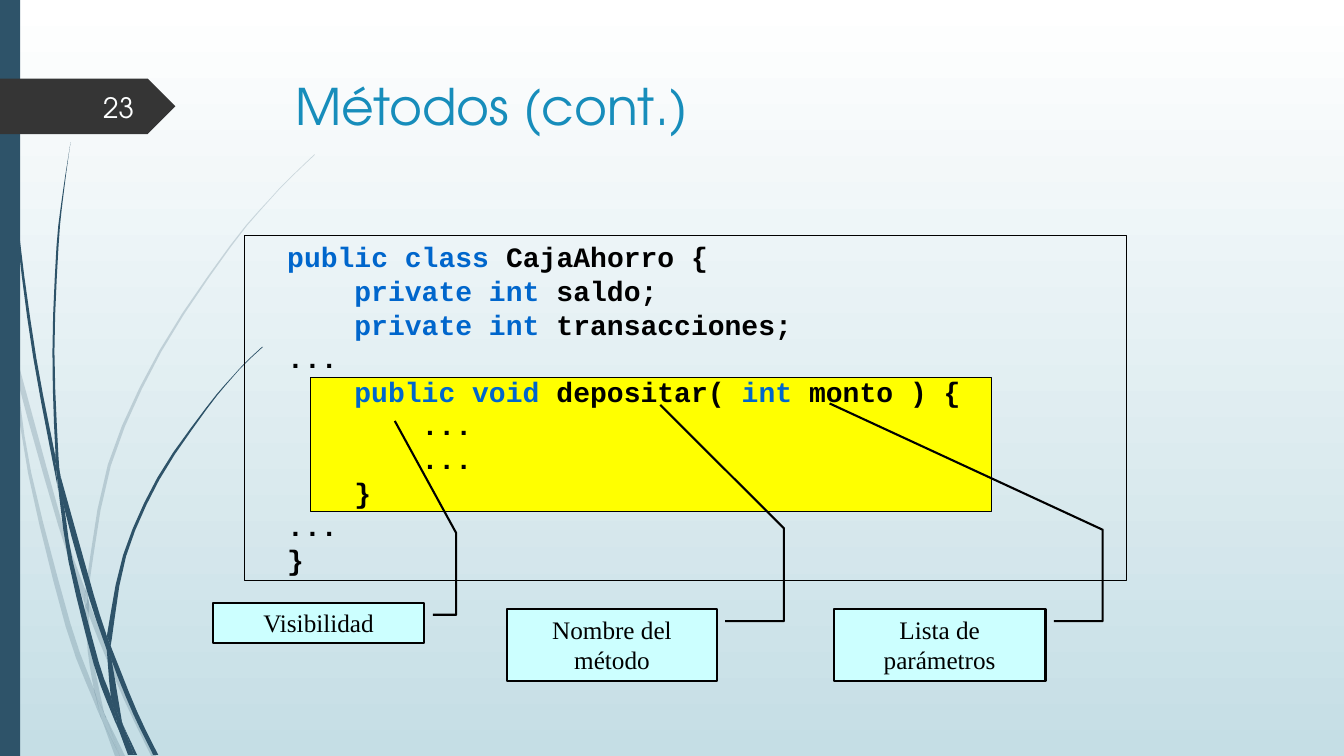
import pptx
import pptx.util
import pptx.dml.color
import pptx.enum.dml
import pptx.enum.shapes
import pptx.enum.text
from lxml import etree
from pptx.util import Inches

SHAPE = pptx.enum.shapes.MSO_SHAPE
ALIGN = pptx.enum.text.PP_ALIGN
ANCHOR = pptx.enum.text.MSO_ANCHOR


def paint(colour_format, hex_colour):
    colour_format.rgb = pptx.dml.color.RGBColor.from_string(hex_colour)


def add_run(p, text, colour, **font):
    r = p.add_run()
    r.text = text
    for name, value in font.items():
        setattr(r.font, name, value)
    paint(r.font.color, colour)


prs = pptx.Presentation()
prs.slide_width, prs.slide_height = Inches(13.33), Inches(7.5)
s = prs.slides.add_slide(prs.slide_layouts[5])

bg = s.background.fill
bg.gradient()
bg.gradient_angle = 270
for stop, colour in zip(bg.gradient_stops, ("FFFFFF", "C5DEE5")):
    paint(stop.color, colour)

pale_blades = [
    ([(0, 2.99), (0.1, 3.44), (0.11, 3.5)], [(0.11, 3.5), (0.09, 3.22), (0, 2.82)]),
    ([(0.14, 3.45), (0.17, 3.76), (0.58, 5.22), (0.84, 5.99)], [(0.85, 5.86), (0.62, 5.2), (0.14, 3.45)]),
    ([(0.88, 5.96), (0.88, 6.1), (1.23, 6.94), (1.5, 7.5)], [(1.55, 7.5), (1.27, 6.92), (0.92, 6.07), (0.88, 5.96)]),
    ([(1.05, 7.11), (1.19, 7.5)], [(1.24, 7.5), (1.05, 7.11)]),
    ([(0.11, 3.5), (0.28, 4.7), (0.65, 6.21), (0.92, 6.93), (1.01, 7.14)],
     [(1.01, 7.14), (0.99, 7.07), (0.93, 6.83), (0.7, 6.19), (0.31, 4.69), (0.17, 3.76), (0.11, 3.5)]),
    ([(0.84, 5.99), (0.87, 6.46), (0.93, 6.83), (0.96, 6.92), (1.05, 7.11)],
     [(1.05, 7.11), (1.03, 7.06), (0.91, 6.46), (0.88, 6.1), (0.84, 5.99)]),
    ([(3.12, 1.53), (2.89, 1.75), (2.68, 1.97), (2.28, 2.44), (1.58, 3.48), (1.07, 4.61), (0.85, 5.84), (0.85, 5.86)],
     [(0.88, 5.96), (0.88, 5.84), (1.1, 4.62), (1.6, 3.49), (2.29, 2.45), (2.68, 1.98), (2.9, 1.75), (3.12, 1.54)]),
    ([(1.01, 7.14), (1.14, 7.5)], [(1.19, 7.5), (1.01, 7.14)]),
    ([(0.85, 5.86), (0.84, 5.99), (0.88, 6.08)], [(0.88, 6.1), (0.88, 5.96), (0.85, 5.86)]),
    ([(0.93, 6.83), (0.99, 7.07), (1.01, 7.14), (1.19, 7.5)], [(1.19, 7.5), (1.05, 7.11), (0.96, 6.92), (0.93, 6.83)]),
]
dark_blades = [
    ([(0.03, 0), (0.04, 0.48), (0.07, 1.1), (0.17, 2.33), (0.33, 3.55), (0.56, 4.77), (0.57, 4.81)],
     [(0.55, 4.57), (0.55, 4.53), (0.36, 3.55), (0.19, 2.32), (0.08, 1.09), (0.05, 0.48), (0.04, 0)]),
    ([(0.6, 4.72), (0.64, 5.05), (0.88, 5.92), (1.06, 6.45)], [(1.06, 6.33), (1.06, 6.31), (0.93, 5.9), (0.6, 4.72)]),
    ([(1.1, 6.41), (1.11, 6.56), (1.32, 7.08), (1.52, 7.49)], [(1.57, 7.49), (1.36, 7.06), (1.13, 6.49), (1.1, 6.41)]),
    ([(0.57, 4.77), (0.68, 5.57), (0.93, 6.59), (1.11, 7.08), (1.17, 7.22)],
     [(1.16, 7.17), (1.1, 6.91), (0.98, 6.57), (0.72, 5.56), (0.64, 5.05), (0.57, 4.77)]),
    ([(0.7, 1.41), (0.62, 1.93), (0.56, 2.45), (0.52, 3.49), (0.55, 4.49), (0.6, 4.72)],
     [(0.6, 4.72), (0.58, 4.53), (0.54, 3.49), (0.58, 2.45), (0.63, 1.93), (0.7, 1.41)]),
    ([(1.22, 7.19), (1.33, 7.49)], [(1.36, 7.49), (1.22, 7.19)]),
    ([(0.55, 4.49), (0.55, 4.53), (0.57, 4.77), (0.64, 5.05)], [(0.64, 5.05), (0.6, 4.72), (0.55, 4.49)]),
    ([(2.6, 3.44), (2.45, 3.58), (2.31, 3.73), (2.04, 4.05), (1.56, 4.74), (1.22, 5.51), (1.06, 6.31)],
     [(1.1, 6.41), (1.11, 6.33), (1.25, 5.52), (1.58, 4.76), (2.05, 4.06), (2.31, 3.74), (2.45, 3.59), (2.61, 3.44)]),
    ([(1.17, 7.22), (1.27, 7.49)], [(1.31, 7.49), (1.17, 7.22)]),
    ([(1.06, 6.45), (1.1, 6.91), (1.16, 7.06), (1.22, 7.19)], [(1.21, 7.16), (1.11, 6.56), (1.09, 6.51), (1.06, 6.45)]),
    ([(1.06, 6.31), (1.06, 6.45), (1.09, 6.51), (1.11, 6.56)], [(1.1, 6.41), (1.06, 6.31)]),
    ([(1.1, 6.91), (1.16, 7.17), (1.17, 7.22), (1.3, 7.49)], [(1.33, 7.49), (1.22, 7.19), (1.16, 7.06), (1.1, 6.91)]),
]
STEPS = 3
UNITS = 1000
for opacity, edges in [(20, e) for e in pale_blades] + [(100, e) for e in dark_blades]:
    outline = []
    for edge in edges:
        padded = [edge[0]] + edge + [edge[-1]]
        for a, b, c, d in zip(padded, padded[1:], padded[2:], padded[3:]):
            for t in (step / STEPS for step in range(STEPS)):
                outline.append([
                    UNITS / 2 * (2 * b[i] + (c[i] - a[i]) * t + (2 * a[i] - 5 * b[i] + 4 * c[i] - d[i]) * t ** 2
                                 + (3 * b[i] - a[i] - 3 * c[i] + d[i]) * t ** 3) for i in (0, 1)])
        outline.append([UNITS * v for v in edge[-1]])
    builder = s.shapes.build_freeform(*outline[0], scale=Inches(1) / UNITS)
    builder.add_line_segments(outline[1:])
    blade = builder.convert_to_shape()
    blade.shadow.inherit = False
    blade.line.fill.background()
    blade.fill.solid()
    paint(blade.fill.fore_color, "2E5369")
    if opacity < 100:
        tint = blade.fill._xPr.find(".//" + pptx.oxml.ns.qn("a:srgbClr"))
        etree.SubElement(tint, pptx.oxml.ns.qn("a:alpha"), val=str(opacity * 1000))

panels = [
    (SHAPE.RECTANGLE, (0, 0, 0.2, 7.5), "2E5369", None),
    (SHAPE.PENTAGON, (0, 0.78, 1.74, 0.55), "353535", None),
    (SHAPE.RECTANGLE, (2.42, 2.33, 8.75, 3.43), None, 0.25),
    (SHAPE.RECTANGLE, (3.08, 3.75, 6.75, 1.33), "FFFF00", 0.75),
]
callouts = [
    ("Visibilidad", (2.11, 5.98, 2.1, 0.4), (0.3, 1.04, 0.3, 1.15, -1.73, 1.15, -4.51, 0.86)),
    ("Nombre del método", (5.03, 6.04, 2.08, 0.72), (0.17, 1.04, 0.17, 1.32, -1.11, 1.32, -2.81, 0.73)),
    ("Lista de parámetros", (8.27, 6.04, 2.1, 0.72), (0.17, 1.04, 0.17, 1.27, -1.09, 1.27, -2.83, -0.02)),
]
panels += [(SHAPE.LINE_CALLOUT_3, box, "CCFFFF", 1.5) for _, box, _ in callouts]
drawn = []
for kind, box, fill, width in panels:
    sp = s.shapes.add_shape(kind, *map(Inches, box))
    sp.shadow.inherit = False
    if fill:
        sp.fill.solid()
        paint(sp.fill.fore_color, fill)
    else:
        sp.fill.background()
    if width:
        paint(sp.line.color, "000000")
        sp.line.width = pptx.util.Pt(width)
    else:
        sp.line.fill.background()
    drawn.append(sp)

for sp, (label, _, leader) in zip(drawn[-len(callouts):], callouts):
    for i, value in enumerate(leader):
        sp.adjustments[i] = value
    tf = sp.text_frame
    tf.vertical_anchor = ANCHOR.TOP
    p = tf.paragraphs[0]
    p.alignment = ALIGN.CENTER
    add_run(p, label, "000000", name="Times New Roman", size=pptx.util.Pt(18))

title = s.shapes.title
number = s.shapes.add_textbox(0, 0, 0, 0)
headings = [
    (title, (2.83, 0.69, 9.75, 1.4), "Métodos (cont.)", 36, "178DBB", ANCHOR.TOP, ALIGN.LEFT),
    (number, (0.58, 0.86, 0.85, 0.4), "23", 20, "FEFFFF", ANCHOR.MIDDLE, ALIGN.RIGHT),
]
for sp, box, text, size, colour, anchor, align in headings:
    for side, value in zip(("left", "top", "width", "height"), box):
        setattr(sp, side, Inches(value))
    tf = sp.text_frame
    for name, value in {"word_wrap": True, "vertical_anchor": anchor,
                        "auto_size": pptx.enum.text.MSO_AUTO_SIZE.NONE}.items():
        setattr(tf, name, value)
    p = tf.paragraphs[0]
    p.alignment = align
    add_run(p, text, colour, name="TeX Gyre Adventor", size=pptx.util.Pt(size))

BLUE, BLACK = "0066CC", "000000"
code = [
    (0, [("public class", BLUE), (" CajaAhorro {", BLACK)]),
    (4, [("private int", BLUE), (" saldo;", BLACK)]),
    (4, [("private int", BLUE), (" transacciones;", BLACK)]),
    (0, [("...", BLACK)]),
    (4, [("public void", BLUE), (" depositar( ", BLACK), ("int", BLUE), (" monto ) {", BLACK)]),
    (8, [("...", BLACK)]),
    (8, [("...", BLACK)]),
    (4, [("}", BLACK)]),
    (0, [("...", BLACK)]),
    (0, [("}", BLACK)]),
]
listing = s.shapes.add_textbox(*map(Inches, (2.75, 2.33, 8.42, 3.43)))
tf = listing.text_frame
tf.word_wrap = True
tf.margin_top = Inches(0.05)
for i, (indent, parts) in enumerate(code):
    p = tf.paragraphs[0] if i == 0 else tf.add_paragraph()
    p.line_spacing = pptx.util.Pt(24)
    p._p.get_or_add_pPr().set("marL", str(Inches(indent / 6)))
    for text, colour in parts:
        add_run(p, text, colour, name="Courier New", size=pptx.util.Pt(20), bold=True)

prs.save("out.pptx")
